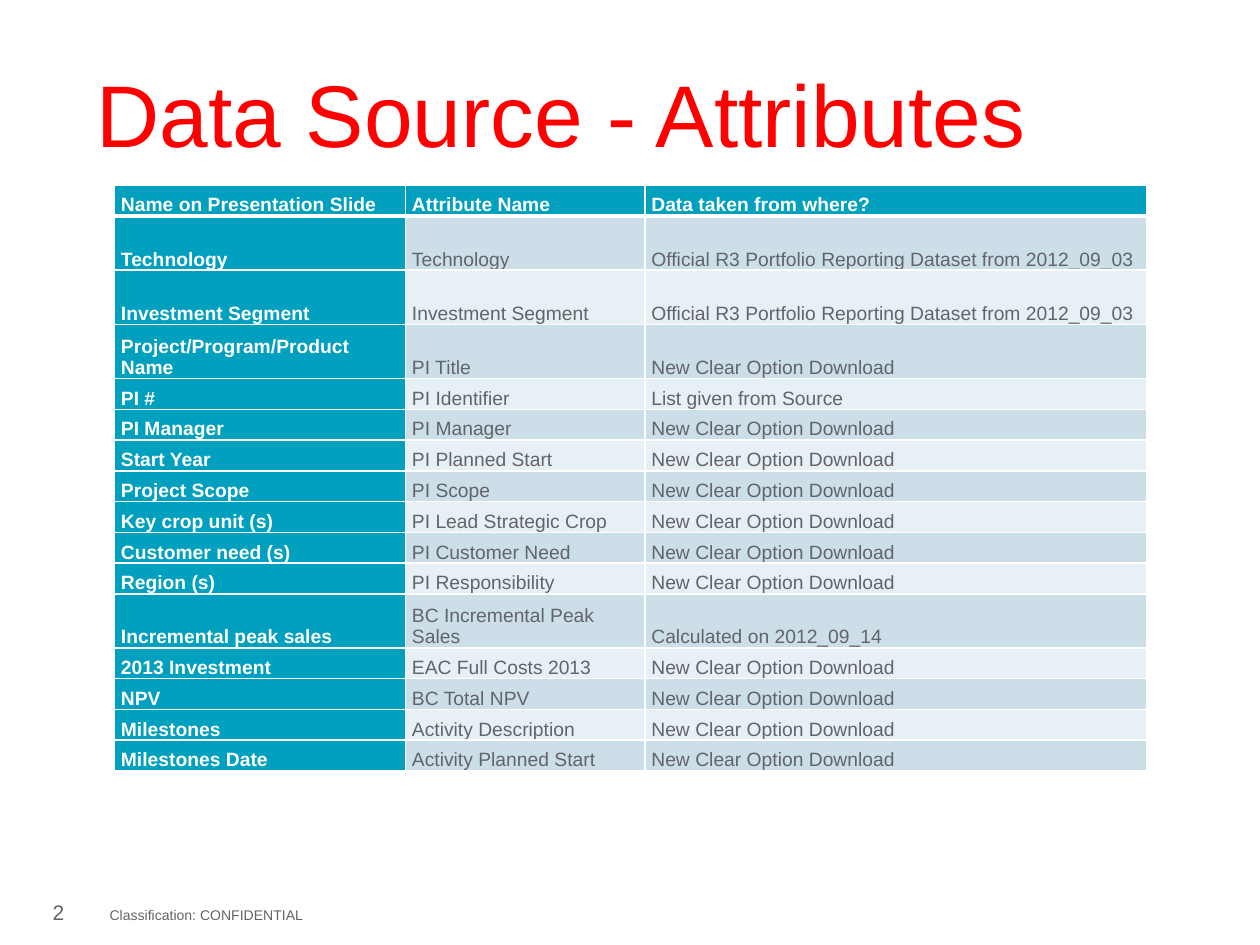
import pptx
import pptx.util
import pptx.dml.color
import pptx.enum.text
import pptx.oxml
import pptx.oxml.ns

Inches, Pt = pptx.util.Inches, pptx.util.Pt
ANCHOR = pptx.enum.text.MSO_ANCHOR
WHITE, GREY, RED = "FFFFFF", "626469", "FF0000"
TEAL, BANDS = "00A0BE", ("E7F0F4", "CCDFE8")


def color(value):
    return pptx.dml.color.RGBColor.from_string(value)


def write(p, text, size, font_color, bold=False):
    r = p.add_run()
    r.text = text
    for name, value in {"name": "Arial", "size": Pt(size), "bold": bold}.items():
        setattr(r.font, name, value)
    r.font.color.rgb = color(font_color)


prs = pptx.Presentation()
prs.slide_width, prs.slide_height = Inches(10), Inches(7.5)
s = prs.slides.add_slide(prs.slide_layouts[6])

# Slide number, classification and title: box, text, size, color, frame format
texts = [
    ((0.32, 7.09, 0.61, 0.41), "2", 12, GREY, {}),
    ((0.87, 7.06, 6.29, 0.41), "Classification: CONFIDENTIAL", 8, GREY,
     {"margin_left": 0, "vertical_anchor": ANCHOR.MIDDLE}),
    ((0.67, 0.36, 8.66, 0.79), "Data Source - Attributes", 50, RED,
     {"margin_top": Inches(0.12)}),
]
for box, text, size, font_color, fmt in texts:
    tf = s.shapes.add_textbox(*map(Inches, box)).text_frame
    for name, value in {"word_wrap": True, **fmt}.items():
        setattr(tf, name, value)
    p = tf.paragraphs[0]
    p.space_after = Pt(6)
    write(p, text, size, font_color)

# Table content
DATASET = "Official R3 Portfolio Reporting Dataset from 2012_09_03"
DOWNLOAD = "New Clear Option Download"
rows = [
    ("Name on Presentation Slide", "Attribute Name", "Data taken from where?"),
    ("Technology", "Technology", DATASET),
    ("Investment Segment", "Investment Segment", DATASET),
    ("Project/Program/Product Name", "PI Title", DOWNLOAD),
    ("PI #", "PI Identifier", "List given from Source"),
    ("PI Manager", "PI Manager", DOWNLOAD),
    ("Start Year", "PI Planned Start", DOWNLOAD),
    ("Project Scope", "PI Scope", DOWNLOAD),
    ("Key crop unit (s)", "PI Lead Strategic Crop", DOWNLOAD),
    ("Customer need (s)", "PI Customer Need", DOWNLOAD),
    ("Region (s)", "PI Responsibility", DOWNLOAD),
    ("Incremental peak sales", "BC Incremental Peak Sales", "Calculated on 2012_09_14"),
    ("2013 Investment", "EAC Full Costs 2013", DOWNLOAD),
    ("NPV", "BC Total NPV", DOWNLOAD),
    ("Milestones", "Activity Description", DOWNLOAD),
    ("Milestones Date", "Activity Planned Start", DOWNLOAD),
]
tall_rows = (1, 2, 3, 11)
height, tall = 4.65, 0.43
short = (height - tall * len(tall_rows)) / (len(rows) - len(tall_rows))

# Table grid
table = s.shapes.add_table(len(rows), 3, Inches(0.91), Inches(1.47),
                           Inches(8.19), Inches(height)).table
for column, width in zip(table.columns, (2.31, 1.9, 3.98)):
    column.width = Inches(width)

# Cells: teal header row and first column, banded body, white borders
cell_format = {"margin_left": Inches(0.05), "margin_right": Inches(0.05),
               "margin_top": 0, "margin_bottom": 0,
               "vertical_anchor": ANCHOR.BOTTOM}
for i, row in enumerate(rows):
    table.rows[i].height = Inches(tall if i in tall_rows else short)
    for j, text in enumerate(row):
        cell = table.cell(i, j)
        for name, value in cell_format.items():
            setattr(cell, name, value)
        heading = i == 0 or j == 0
        for side in "LRTB":
            thick = (i, side) in ((0, "B"), (1, "T"))
            cell._tc.get_or_add_tcPr().append(pptx.oxml.parse_xml(
                f'<a:ln{side} {pptx.oxml.ns.nsdecls("a")} w="{Pt(3 if thick else 1)}">'
                f'<a:solidFill><a:srgbClr val="{WHITE}"/></a:solidFill></a:ln{side}>'))
        cell.fill.solid()
        cell.fill.fore_color.rgb = color(TEAL if heading else BANDS[i % 2])
        write(cell.text_frame.paragraphs[0], text, 11,
              WHITE if heading else GREY, heading)

prs.save("out.pptx")
